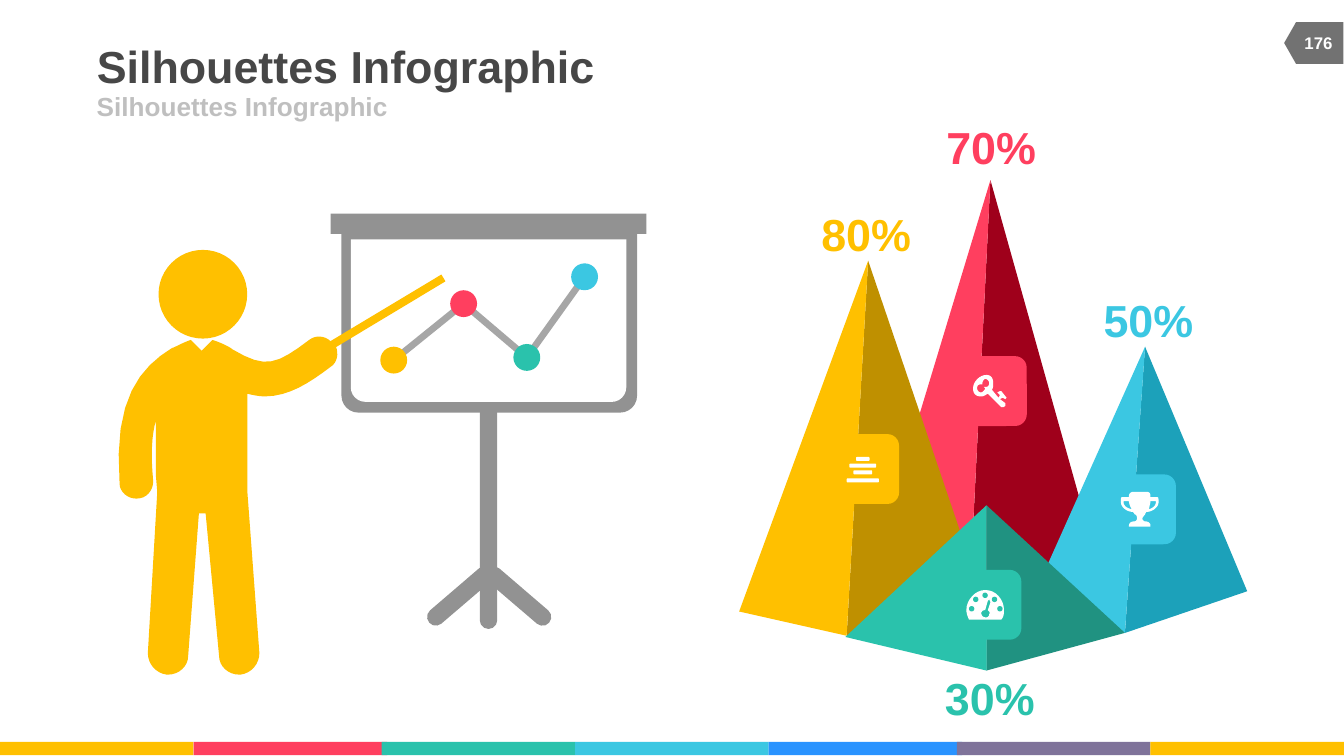
"""Build the Silhouettes Infographic slide: a presenter at a board beside four pyramids."""
from pptx import Presentation
from pptx.dml.color import RGBColor
from pptx.enum.shapes import MSO_CONNECTOR, MSO_SHAPE as SHAPE
from pptx.enum.text import MSO_ANCHOR as ANCHOR, MSO_AUTO_SIZE, PP_ALIGN as ALIGN
from pptx.oxml.ns import qn
from pptx.util import Inches, Pt

YELLOW, DARK_YELLOW = RGBColor(0xFF, 0xC0, 0x00), RGBColor(0xBF, 0x90, 0x00)
RED, DARK_RED = RGBColor(0xFF, 0x3F, 0x5F), RGBColor(0x9F, 0x00, 0x1B)
TEAL, DARK_TEAL = RGBColor(0x2A, 0xC2, 0xAC), RGBColor(0x20, 0x92, 0x81)
CYAN, DARK_CYAN = RGBColor(0x3B, 0xC7, 0xE2), RGBColor(0x1C, 0xA1, 0xBA)
BLUE, PURPLE = RGBColor(0x29, 0x93, 0xFF), RGBColor(0x7F, 0x73, 0x9A)
WHITE, INK = RGBColor(0xFF, 0xFF, 0xFF), RGBColor(0x47, 0x47, 0x47)
BADGE_GREY, STAND_GREY = RGBColor(0x72, 0x72, 0x72), RGBColor(0x92, 0x92, 0x92)
TREND_GREY, SUBTITLE_GREY = RGBColor(0xA6, 0xA6, 0xA6), RGBColor(0xBF, 0xBF, 0xBF)

prs = Presentation()
prs.slide_width = Inches(10)
prs.slide_height = Inches(10 * 9 / 16)
slide = prs.slides.add_slide(prs.slide_layouts[5])
shapes = slide.shapes


def block(preset, left, top, width, height, color, rotation=0, adjust=()):
    """Add a plain filled preset shape."""
    shape = shapes.add_shape(preset, Inches(left), Inches(top), Inches(width), Inches(height))
    shape.rotation = rotation
    for index, value in enumerate(adjust):
        shape.adjustments[index] = value
    shape.fill.solid()
    shape.fill.fore_color.rgb = color
    shape.line.fill.background()
    shape.shadow.inherit = False


def outline(color, *contours):
    """Add a filled outline; pairs are corners, sextuples are Bezier curves."""
    builder = None
    for contour in contours:
        points = []
        for step in contour:
            if len(step) == 2:
                points.append(step)
                continue
            ax, ay = points[-1]
            bx, by, cx, cy, dx, dy = step
            for t in (n / 8 for n in range(1, 9)):
                s = 1 - t
                weights = s**3, 3 * s * s * t, 3 * s * t * t, t**3
                points.append((sum(w * x for w, x in zip(weights, (ax, bx, cx, dx))),
                               sum(w * y for w, y in zip(weights, (ay, by, cy, dy)))))
        corners = [(Inches(x), Inches(y)) for x, y in points]
        if builder is None:
            builder = shapes.build_freeform(*corners[0])
        else:
            builder.move_to(*corners[0])
        builder.add_line_segments(corners[1:], close=True)
    shape = builder.convert_to_shape()
    shape.fill.solid()
    shape.fill.fore_color.rgb = color
    shape.line.fill.background()
    shape.shadow.inherit = False


strip_lefts = (0, 1.44, 2.84, 4.28, 5.72, 7.12, 8.56)
strip_colors = (YELLOW, RED, TEAL, CYAN, BLUE, PURPLE, YELLOW)
for left, color in zip(strip_lefts, strip_colors):
    block(SHAPE.RECTANGLE, left, 5.52, 1.44, 0.1, color)
block(SHAPE.FLOWCHART_OFFPAGE_CONNECTOR, 9.62, 0.1, 0.31, 0.44, BADGE_GREY, 90)

block(SHAPE.ROUNDED_RECTANGLE, 3.57, 2.5, 0.13, 2.18, STAND_GREY, 0, [0.5])
for left, angle in ((3.79, 310.6), (3.36, 49.4)):
    block(SHAPE.ROUNDED_RECTANGLE, left, 4.13, 0.13, 0.61, STAND_GREY, angle, [0.5])
block(SHAPE.ROUND_2_SAME_RECTANGLE, 2.54, 1.67, 2.2, 1.4, STAND_GREY, 180, [0.09, 0])
block(SHAPE.RECTANGLE, 2.46, 1.59, 2.35, 0.15, STAND_GREY)
block(SHAPE.ROUND_2_SAME_RECTANGLE, 2.61, 1.78, 2.05, 1.21, WHITE, 180, [0.09, 0])

block(SHAPE.RECTANGLE, 2.39, 2.29, 0.98, 0.06, YELLOW, 329)
outline(YELLOW, [
    (2.46, 2.54), (2.42, 2.5, 2.35, 2.49, 2.3, 2.53), (2.06, 2.71, 1.98, 2.75, 1.73, 2.6),
    (1.71, 2.58, 1.62, 2.54, 1.58, 2.53), (1.5, 2.61), (1.42, 2.53),
    (1.38, 2.54, 1.29, 2.59, 1.28, 2.59), (1.05, 2.73, 0.84, 2.96, 0.89, 3.6),
    (0.89, 3.66, 0.95, 3.71, 1.01, 3.71), (1.02, 3.71), (1.09, 3.71, 1.14, 3.65, 1.14, 3.58),
    (1.12, 3.38, 1.13, 3.23, 1.16, 3.13), (1.16, 3.54), (1.17, 3.66), (1.1, 4.86),
    (1.1, 4.94, 1.16, 5.01, 1.24, 5.02), (1.25, 5.02), (1.33, 5.02, 1.4, 4.96, 1.4, 4.88),
    (1.48, 3.82), (1.53, 3.82), (1.63, 4.88), (1.63, 4.96, 1.7, 5.02, 1.78, 5.02),
    (1.79, 5.02), (1.87, 5.01, 1.93, 4.94, 1.93, 4.86), (1.84, 3.65), (1.84, 2.93),
    (1.88, 2.94, 1.93, 2.95, 1.97, 2.95), (2.15, 2.95, 2.3, 2.85, 2.46, 2.73),
    (2.51, 2.7, 2.52, 2.63, 2.5, 2.58)])
outline(YELLOW, [(1.5, 3.26), (1.42, 3.15), (1.5, 2.63), (1.58, 3.15)])
block(SHAPE.OVAL, 1.18, 1.86, 0.66, 0.66, YELLOW)

trend = [(2.93, 2.68, YELLOW), (3.45, 2.26, RED), (3.92, 2.66, TEAL), (4.35, 2.06, CYAN)]
for (x1, y1, _), (x2, y2, _) in zip(trend, trend[1:]):
    segment = shapes.add_connector(MSO_CONNECTOR.STRAIGHT,
                                   Inches(x1), Inches(y1), Inches(x2), Inches(y2))
    segment.line.color.rgb = TREND_GREY
    segment.line.width = Pt(3.6)
    properties = segment._element.spPr
    properties.append(properties.makeelement(qn("a:effectLst"), {}))
for x, y, color in trend:
    block(SHAPE.OVAL, x - 0.1, y - 0.1, 0.2, 0.2, color)

pyramids = [
    ((7.37, 1.34), (7.2, 4.73), (6.41, 4.51), (8.24, 4.45), RED, DARK_RED, (7.1, 2.65)),
    ((8.52, 2.58), (8.37, 4.71), (7.63, 4.57), (9.28, 4.4), CYAN, DARK_CYAN, (8.21, 3.53)),
    ((6.46, 1.94), (6.3, 4.73), (5.5, 4.55), (7.33, 4.5), YELLOW, DARK_YELLOW, (6.15, 3.23)),
    ((7.34, 3.76), (7.34, 4.99), (6.29, 4.74), (8.37, 4.71), TEAL, DARK_TEAL, (7.06, 4.24)),
]
for apex, base, left_corner, right_corner, light, dark, tile in pyramids:
    outline(dark, [base, apex, right_corner])
    outline(light, [apex, base, left_corner])
    block(SHAPE.ROUNDED_RECTANGLE, *tile, 0.54, 0.52, light)

for left, top, width in ((6.37, 3.4, 0.1), (6.32, 3.45, 0.2), (6.35, 3.5, 0.14), (6.3, 3.56, 0.24)):
    block(SHAPE.ROUNDED_RECTANGLE, left, top, width, 0.03, WHITE, 0, [0.25])

outline(WHITE, [
    (7.48, 2.97), (7.46, 2.96), (7.44, 2.97), (7.48, 3), (7.48, 3.01, 7.48, 3.01, 7.48, 3.02),
    (7.48, 3.02, 7.47, 3.03, 7.46, 3.03), (7.45, 3.03), (7.35, 2.93),
    (7.33, 2.94, 7.32, 2.95, 7.3, 2.95), (7.26, 2.95, 7.24, 2.93, 7.24, 2.89),
    (7.24, 2.84, 7.29, 2.79, 7.34, 2.79), (7.37, 2.79, 7.39, 2.81, 7.39, 2.85),
    (7.39, 2.87, 7.39, 2.89, 7.38, 2.9), (7.43, 2.96), (7.44, 2.94), (7.42, 2.92),
    (7.44, 2.91), (7.45, 2.91), (7.49, 2.96)], [
    (7.33, 2.82), (7.32, 2.82, 7.31, 2.84, 7.31, 2.85), (7.31, 2.86), (7.3, 2.86),
    (7.28, 2.86, 7.27, 2.87, 7.27, 2.89), (7.27, 2.9, 7.28, 2.92, 7.3, 2.92),
    (7.31, 2.92, 7.33, 2.9, 7.33, 2.89), (7.32, 2.88), (7.33, 2.88),
    (7.35, 2.88, 7.36, 2.87, 7.36, 2.85), (7.36, 2.84, 7.35, 2.82, 7.33, 2.82)])

outline(WHITE, [
    (7.45, 4.61), (7.22, 4.61), (7.21, 4.61), (7.2, 4.59, 7.19, 4.56, 7.19, 4.54),
    (7.19, 4.46, 7.26, 4.39, 7.33, 4.39), (7.41, 4.39, 7.47, 4.46, 7.47, 4.54),
    (7.47, 4.56, 7.47, 4.59, 7.45, 4.61)], [
    (7.37, 4.48), (7.36, 4.46), (7.35, 4.47), (7.33, 4.54), (7.32, 4.54, 7.31, 4.54, 7.3, 4.56),
    (7.3, 4.57, 7.31, 4.59, 7.32, 4.59), (7.34, 4.6, 7.36, 4.59, 7.36, 4.57),
    (7.37, 4.56, 7.36, 4.55, 7.35, 4.54)])
for left, top in ((7.21, 4.51), (7.24, 4.44), (7.31, 4.41), (7.38, 4.44), (7.42, 4.51)):
    block(SHAPE.OVAL, left, top, 0.04, 0.04, TEAL)

outline(WHITE, [
    (8.62, 3.74), (8.62, 3.77, 8.58, 3.81, 8.53, 3.81), (8.52, 3.82, 8.52, 3.83, 8.52, 3.83),
    (8.51, 3.84, 8.5, 3.85, 8.5, 3.86), (8.5, 3.87, 8.51, 3.88, 8.52, 3.88),
    (8.54, 3.88, 8.56, 3.89, 8.56, 3.91), (8.56, 3.92), (8.4, 3.92), (8.4, 3.91),
    (8.4, 3.89, 8.42, 3.88, 8.44, 3.88), (8.45, 3.88, 8.46, 3.87, 8.46, 3.86),
    (8.46, 3.85, 8.46, 3.84, 8.45, 3.83), (8.44, 3.83, 8.44, 3.82, 8.43, 3.81),
    (8.38, 3.81, 8.34, 3.77, 8.34, 3.74), (8.34, 3.72), (8.34, 3.71, 8.34, 3.7, 8.35, 3.7),
    (8.4, 3.7), (8.4, 3.69), (8.4, 3.67, 8.42, 3.66, 8.43, 3.66), (8.53, 3.66),
    (8.55, 3.66, 8.56, 3.67, 8.56, 3.69), (8.56, 3.7), (8.61, 3.7),
    (8.62, 3.7, 8.62, 3.71, 8.62, 3.72)], [
    (8.4, 3.73), (8.36, 3.73), (8.36, 3.74), (8.36, 3.76, 8.38, 3.78, 8.42, 3.79),
    (8.41, 3.77, 8.4, 3.75, 8.4, 3.73)], [
    (8.6, 3.73), (8.56, 3.73), (8.56, 3.75, 8.55, 3.77, 8.55, 3.79),
    (8.58, 3.78, 8.6, 3.76, 8.6, 3.74)])

texts = [
    ("Silhouettes Infographic", 0.72, 0.29, 6.17, 0.39, 24, INK, ALIGN.LEFT, ANCHOR.MIDDLE),
    ("Silhouettes Infographic", 0.72, 0.68, 4.5, 0.22, 14, SUBTITLE_GREY, ALIGN.LEFT, ANCHOR.MIDDLE),
    ("176", 9.6, 0.17, 0.42, 0.3, 9, WHITE, ALIGN.CENTER, ANCHOR.MIDDLE),
    ("80%", 6.11, 1.54, 0.67, 0.4, 24, YELLOW, ALIGN.CENTER, ANCHOR.BOTTOM),
    ("50%", 8.21, 2.18, 0.67, 0.4, 24, CYAN, ALIGN.CENTER, ANCHOR.BOTTOM),
    ("70%", 7.04, 0.89, 0.67, 0.4, 24, RED, ALIGN.CENTER, ANCHOR.BOTTOM),
    ("30%", 7.03, 4.99, 0.67, 0.4, 24, TEAL, ALIGN.CENTER, ANCHOR.BOTTOM),
]
for index, (words, left, top, width, height, size, color, align, anchor) in enumerate(texts):
    holder = shapes.title if index == 0 else shapes.add_textbox(0, 0, 0, 0)
    holder.left, holder.top = Inches(left), Inches(top)
    holder.width, holder.height = Inches(width), Inches(height)
    frame = holder.text_frame
    frame.margin_left = frame.margin_right = frame.margin_top = frame.margin_bottom = 0
    frame.auto_size = MSO_AUTO_SIZE.NONE
    frame.word_wrap = align == ALIGN.LEFT
    frame.vertical_anchor = anchor
    paragraph = frame.paragraphs[0]
    paragraph.alignment = align
    run = paragraph.add_run()
    run.text = words
    run.font.name, run.font.size, run.font.bold = "Arial", Pt(size), True
    run.font.color.rgb = color

prs.save("out.pptx")
